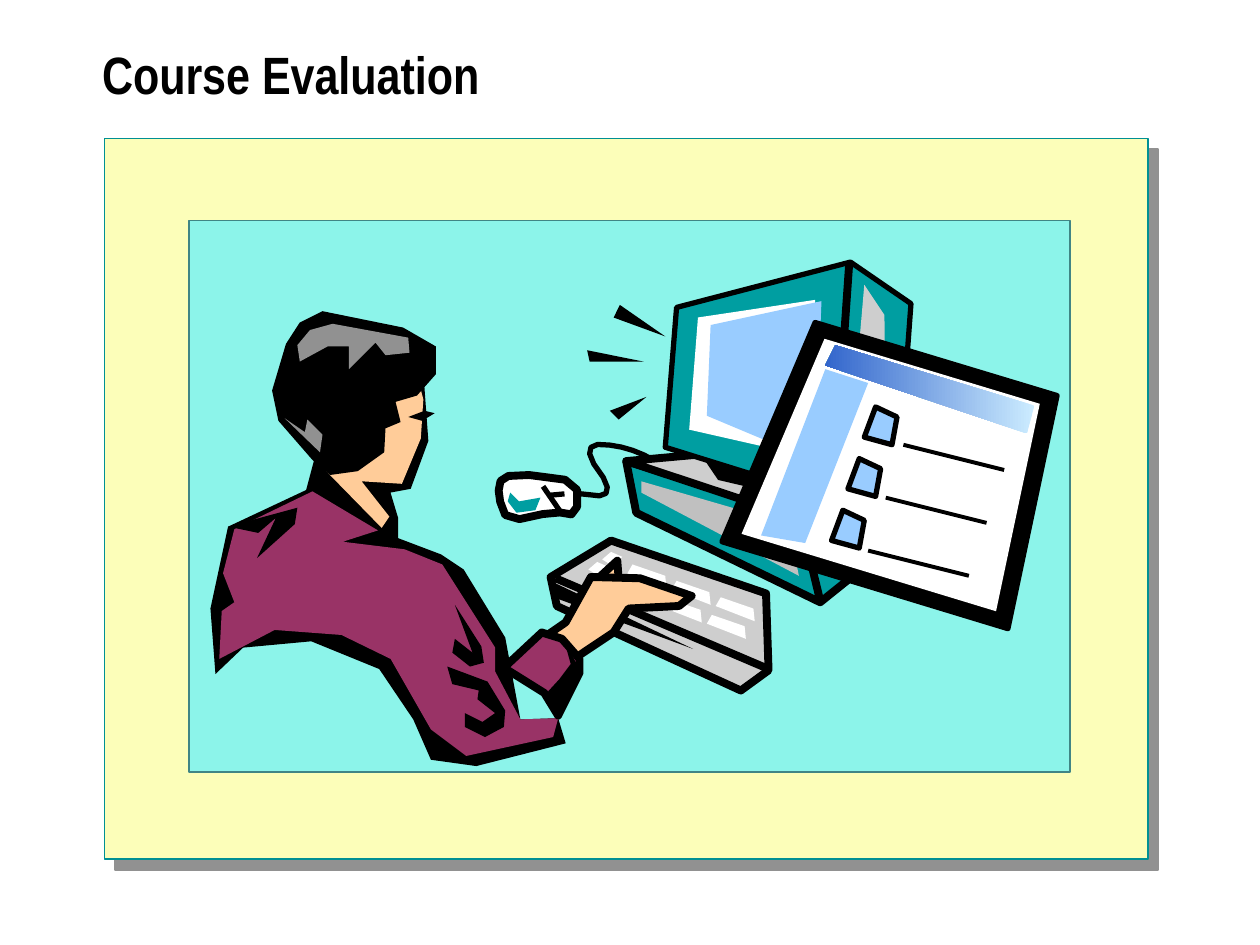
from dataclasses import dataclass
from lxml import etree
from pptx import Presentation
from pptx import util as u
from pptx.dml.color import RGBColor
from pptx.enum import shapes, text
from pptx.oxml import ns

COLORS = {
    "black": "000000", "white": "FFFFFF", "cream": "FCFEB9", "aqua": "8CF4EA",
    "edge": "408585", "border": "009094", "teal": "009EA1", "light": "CECECE",
    "silver": "C0C0C0", "gray": "919191", "sky": "99CCFF", "skin": "FFCC99",
    "plum": "993366", "pale": "CCECFF", "blue": "3366CC",
}
SCENE = (1.5, 1.75, 6.99, 4.38)
THIN, THICK = 3, 4.5


def color(name):
    return RGBColor.from_string(COLORS[name])


def apply_format(target, values):
    for name, value in values.items():
        setattr(target, name, value)


def style(shape, fill, line, width):
    shape.shadow.inherit = False
    if fill:
        shape.fill.solid()
        shape.fill.fore_color.rgb = color(fill)
    else:
        shape.fill.background()
    if width:
        shape.line.color.rgb = color(line)
        shape.line.width = u.Pt(width)
    else:
        shape.line.fill.background()


def between(start, end, share):
    return tuple(a + (b - a) * share for a, b in zip(start, end))


def rounded(points, passes=2):
    for _ in range(passes):
        cut = [between(a, b, share) for a, b in zip(points, points[1:]) for share in (0.25, 0.75)]
        points = [points[0], *cut, points[-1]]
    return points


def shifted(points, dx, dy):
    return [(x + dx, y + dy) for x, y in points]


@dataclass
class Drawing:
    slide: object
    box: tuple

    def place(self, point):
        return tuple(u.Inches(self.box[i] + (point[i] - SCENE[i]) * self.box[i + 2] / SCENE[i + 2])
                     for i in (0, 1))

    def outline(self, fill, points, width=0, closed=True):
        places = [self.place(point) for point in points]
        builder = self.slide.shapes.build_freeform(*places[0], scale=1.0)
        builder.add_line_segments(places[1:], close=closed)
        shape = builder.convert_to_shape()
        style(shape, fill, "black", width)
        return shape

    def line(self, start, end, width):
        connector = self.slide.shapes.add_connector(
            shapes.MSO_CONNECTOR.STRAIGHT, *self.place(start), *self.place(end))
        connector.line.color.rgb = color("black")
        connector.line.width = u.Pt(width)
        etree.SubElement(connector._element.spPr, ns.qn("a:effectLst"))


def add_panel(slide, box, fill, line):
    shape = slide.shapes.add_shape(shapes.MSO_SHAPE.RECTANGLE, *map(u.Inches, box))
    style(shape, fill, line, 1)
    return shape


def add_frame(slide, box):
    frame = add_panel(slide, box, "cream", "border")
    effects = frame._element.spPr.find(ns.qn("a:effectLst"))
    shadow = etree.SubElement(effects, ns.qn("a:outerShdw"), dist=str(u.Pt(8.5)),
                              dir="2700000", algn="ctr", rotWithShape="0")
    etree.SubElement(shadow, ns.qn("a:srgbClr"), val=COLORS["gray"])


def add_title(slide, box, words):
    title = slide.shapes.title
    apply_format(title, dict(zip(("left", "top", "width", "height"), map(u.Inches, box))))
    frame = title.text_frame
    frame.text = words
    apply_format(frame, {"word_wrap": True, "auto_size": text.MSO_AUTO_SIZE.NONE,
                         "vertical_anchor": text.MSO_ANCHOR.MIDDLE})
    paragraph = frame.paragraphs[0]
    apply_format(paragraph, {"alignment": text.PP_ALIGN.LEFT, "line_spacing": 0.8})
    font = paragraph.runs[0].font
    apply_format(font, {"name": "Arial Narrow", "size": u.Pt(30), "bold": True})
    font.color.rgb = color("black")


def draw_mouse(drawing):
    cable = [(5.33, 3.73), (4.98, 3.54), (4.6, 3.52), (4.9, 3.95), (4.52, 3.91)]
    drawing.outline(None, rounded(cable), THIN, closed=False)
    body = [(4.2, 3.77), (3.98, 3.78), (3.95, 3.93), (4.03, 4.14), (4.4, 4.06), (4.58, 4.09), (4.58, 3.82)]
    drawing.outline("white", rounded(body + body[:1], 1), THICK)
    drawing.line((4.31, 3.86), (4.44, 4.05), THIN)
    drawing.line((4.37, 3.93), (4.48, 3.92), THIN)
    drawing.outline("teal", [(4.29, 3.95), (4.12, 3.98), (4.05, 3.91), (4.03, 3.98), (4.1, 4.07), (4.25, 4.05)])


def draw_keyboard(drawing):
    drawing.outline("light", [(6.08, 4.71), (4.85, 4.29), (4.37, 4.58), (4.42, 4.81), (5.88, 5.48), (6.1, 5.32)], THICK)
    drawing.line((4.41, 4.59), (6.1, 5.31), THICK)
    key = [(5.28, 4.57), (5.02, 4.48), (4.98, 4.55), (5.29, 4.67)]
    for row in range(2):
        for column in range(3):
            drawing.outline("white", shifted(key, 0.35 * column - 0.07 * row, 0.13 * column + 0.14 * row))
    small_key = [(4.83, 4.5), (4.74, 4.46), (4.67, 4.52), (4.75, 4.57)]
    for step in range(2):
        drawing.outline("white", shifted(small_key, 0.11 * step, -0.08 * step))
    drawing.outline("black", [(5.5, 5.15), (4.41, 4.63), (4.42, 4.75)])


def draw_computer(drawing):
    drawing.outline("teal", [(4.97, 3.66), (6.39, 4.09), (7.21, 3.83), (7.17, 4.25), (6.51, 4.78), (5.05, 4.07)], THICK)
    drawing.outline("silver", [(6.26, 4.16), (6.34, 4.57), (5.09, 3.91), (5.09, 3.82)])
    drawing.outline("silver", [(6.97, 4.07), (6.47, 4.16), (6.55, 4.57), (6.89, 4.32)])
    drawing.outline("light", [(7.22, 3.82), (6.33, 4.11), (4.97, 3.66), (5.97, 3.57)], THICK)
    drawing.line((6.35, 4.11), (6.51, 4.77), THICK)
    drawing.outline("black", [(5.51, 3.53), (5.7, 3.81), (6.47, 3.99), (6.47, 3.82)])
    drawing.outline("teal", [(5.37, 2.44), (6.75, 2.08), (7.23, 2.41), (7.14, 3.63), (6.6, 3.96), (5.28, 3.55)], THIN)
    drawing.outline("white", [(6.47, 2.38), (5.54, 2.52), (5.47, 3.41), (6.44, 3.63)])
    drawing.outline("light", [(7.02, 2.5), (7.03, 3.45), (6.73, 3.77), (6.86, 2.26)])
    drawing.outline("sky", [(6.52, 2.39), (5.64, 2.58), (5.61, 3.3), (6.47, 3.66)])
    drawing.line((6.74, 2.09), (6.61, 3.96), THICK)
    for ray in ([(5.28, 2.67), (4.92, 2.42), (4.87, 2.52)],
                [(5.11, 2.87), (4.66, 2.78), (4.68, 2.87)],
                [(5.13, 3.15), (4.84, 3.26), (4.91, 3.33)]):
        drawing.outline("black", ray)


def draw_head(drawing):
    drawing.outline("black", [(2.51, 3.59), (2.43, 3.89), (3.16, 4.28), (3.16, 4.11), (3.1, 3.91), (3.26, 3.88), (3.4, 3.5), (3.36, 2.95)])
    drawing.outline("skin", [(2.55, 3.7), (3.03, 4.19), (3.09, 4.1), (2.87, 3.82), (3.19, 3.84), (3.34, 3.48), (3.36, 3.17), (3.31, 2.98), (2.9, 3.1)])
    drawing.outline("black", [(2.48, 3.65), (2.21, 3.34), (2.16, 3.1), (2.27, 2.73), (2.38, 2.56), (2.56, 2.47), (3.2, 2.6), (3.46, 2.75), (3.46, 2.97), (3.31, 3.14), (3.14, 3.19), (3.18, 3.35), (3.06, 3.4), (3.05, 3.59), (2.84, 3.74), (2.62, 3.77)])
    drawing.outline("gray", [(2.64, 2.57), (3.24, 2.68), (3.25, 2.8), (3.06, 2.82), (2.98, 2.72), (2.77, 2.93), (2.77, 2.75), (2.6, 2.75), (2.38, 2.87), (2.36, 2.74), (2.46, 2.62)])
    drawing.outline("gray", [(2.54, 3.59), (2.56, 3.45), (2.44, 3.33), (2.42, 3.43), (2.26, 3.32)])
    drawing.outline("black", [(3.37, 3.26), (3.24, 3.31), (3.35, 3.34), (3.45, 3.28)])


def draw_body(drawing):
    drawing.outline("skin", [(4.91, 4.59), (4.9, 4.45), (4.77, 4.57), (4.68, 4.78)], THICK)
    drawing.outline("skin", [(5.49, 4.73), (5.08, 4.59), (4.69, 4.58), (4.49, 4.94), (4.33, 5.05), (4.57, 5.22), (4.87, 5.02), (4.99, 4.83), (5.39, 4.81)], THICK)
    drawing.outline("black", [(1.81, 4.18), (1.67, 4.83), (1.71, 5.35), (1.93, 5.14), (2.47, 5.09), (3.01, 5.31), (3.28, 5.71), (3.42, 6.03), (3.78, 6.08), (4.49, 5.9), (4.43, 5.7), (4.13, 5.71), (4.01, 5.06), (3.68, 4.52), (3.5, 4.4), (3.13, 4.26), (2.47, 3.87)])
    drawing.outline("plum", [(1.86, 4.2), (1.77, 4.55), (1.86, 4.78), (1.76, 4.85), (1.74, 5.23), (2.18, 5), (2.71, 5.04), (3.1, 5.23), (3.42, 5.79), (3.7, 6), (4.39, 5.85), (4.43, 5.7), (4.13, 5.71), (3.93, 5.33), (3.93, 5.14), (3.51, 4.48), (3.21, 4.36), (2.72, 4.3), (3.0, 4.21), (2.48, 3.9)])
    drawing.outline("black", [(2.36, 4.03), (1.81, 4.18), (2.05, 4.23), (2.19, 4.11), (2.04, 4.43), (2.34, 4.16)])
    drawing.outline("black", [(3.61, 4.8), (3.82, 5.13), (3.84, 5.26), (3.73, 5.29), (3.59, 5.18), (3.61, 5.07), (3.75, 5.18)])
    drawing.outline("plum", [(4.3, 5.02), (4.46, 5.07), (4.6, 5.23), (4.6, 5.34), (4.43, 5.68), (4.32, 5.5), (4.0, 5.3)], THICK)
    drawing.outline("black", [(4.48, 5.09), (4.53, 5.27), (4.44, 5.39), (4.33, 5.51), (4.44, 5.71), (4.6, 5.31)])
    drawing.outline("black", [(3.87, 5.41), (4.01, 5.64), (4, 5.77), (3.85, 5.85), (3.69, 5.77), (3.69, 5.66), (3.83, 5.73), (3.93, 5.66), (3.79, 5.55), (3.8, 5.48), (3.59, 5.43), (3.55, 5.29)])


def draw_form(drawing):
    sheet = [(8.39, 3.14), (6.47, 2.56), (5.73, 4.3), (8, 4.99)]
    drawing.outline("black", sheet, THIN)
    drawing.outline("white", [between((7.14, 3.73), corner, 0.89) for corner in sheet])
    drawing.outline("sky", [(6.55, 2.93), (6.89, 3.04), (6.39, 4.31), (6.04, 4.25)])
    check_box = [(7.12, 3.31), (6.95, 3.23), (6.86, 3.47), (7.08, 3.53)]
    for row in range(3):
        drawing.outline("sky", shifted(check_box, -0.13 * row, 0.41 * row), THIN)
        x, y = 7.17 - 0.14 * row, 3.53 + 0.42 * row
        drawing.line((x, y), (x + 0.8, y + 0.2), 2.25)
    banner = drawing.outline("blue", [(6.63, 2.74), (8.21, 3.22), (8.15, 3.44), (6.55, 2.9)])
    banner.fill.gradient()
    banner.fill.gradient_angle = 180
    for stop, name in zip(banner.fill.gradient_stops, ("pale", "blue")):
        stop.color.rgb = color(name)


def add_scene(slide, box):
    add_panel(slide, box, "aqua", "edge")
    drawing = Drawing(slide, box)
    for draw in (draw_mouse, draw_keyboard, draw_computer, draw_head, draw_body, draw_form):
        draw(drawing)


def main():
    presentation = Presentation()
    apply_format(presentation, {"slide_width": u.Inches(10), "slide_height": u.Inches(7.5)})
    slide = presentation.slides.add_slide(presentation.slide_layouts[5])
    add_frame(slide, (0.83, 1.1, 8.28, 5.72))
    add_title(slide, (0.71, 0.17, 8.96, 0.92), "Course Evaluation")
    add_scene(slide, SCENE)
    presentation.save("out.pptx")


if __name__ == "__main__":
    main()
